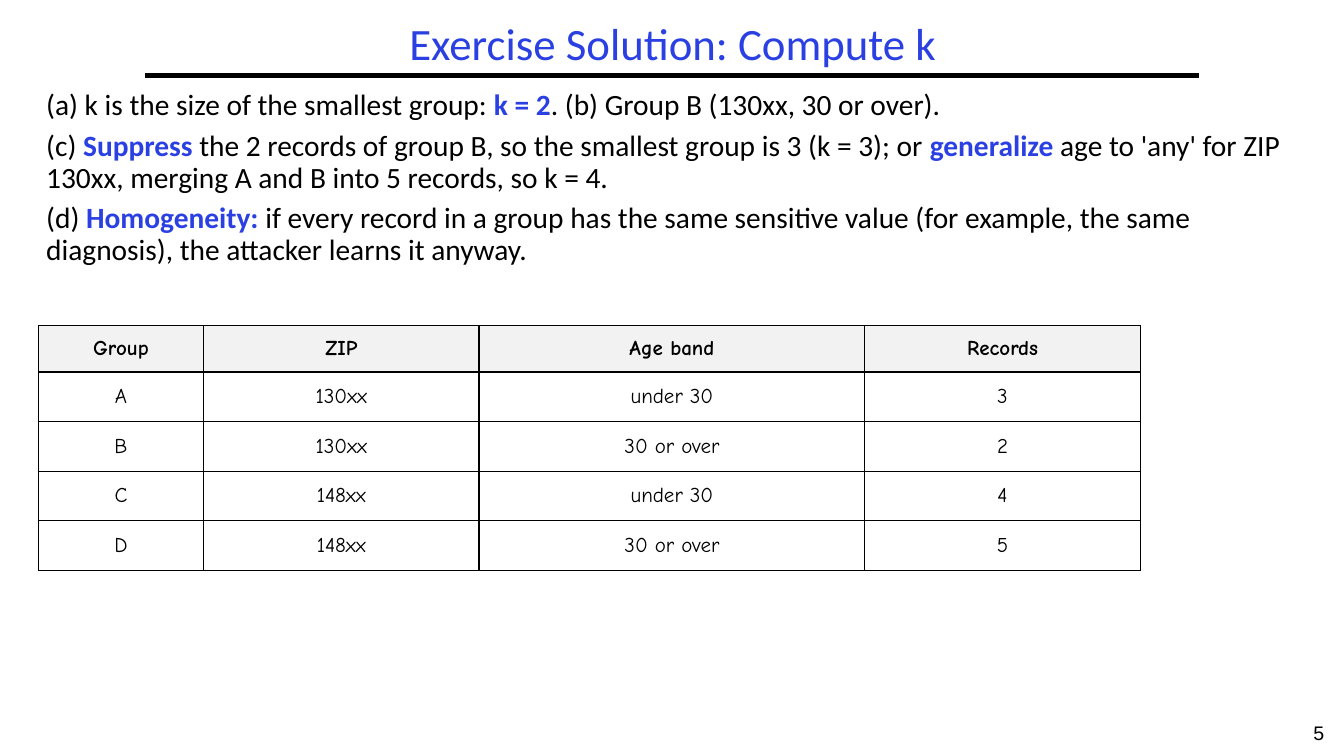
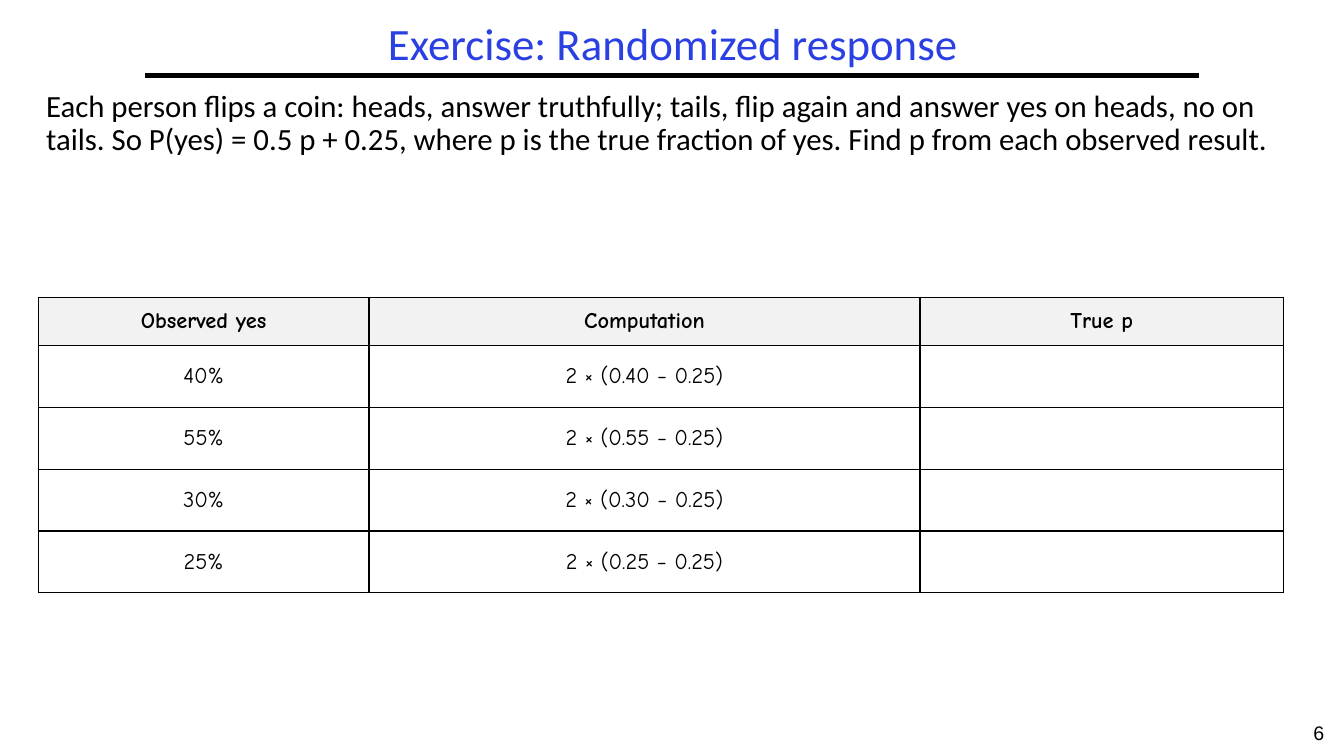
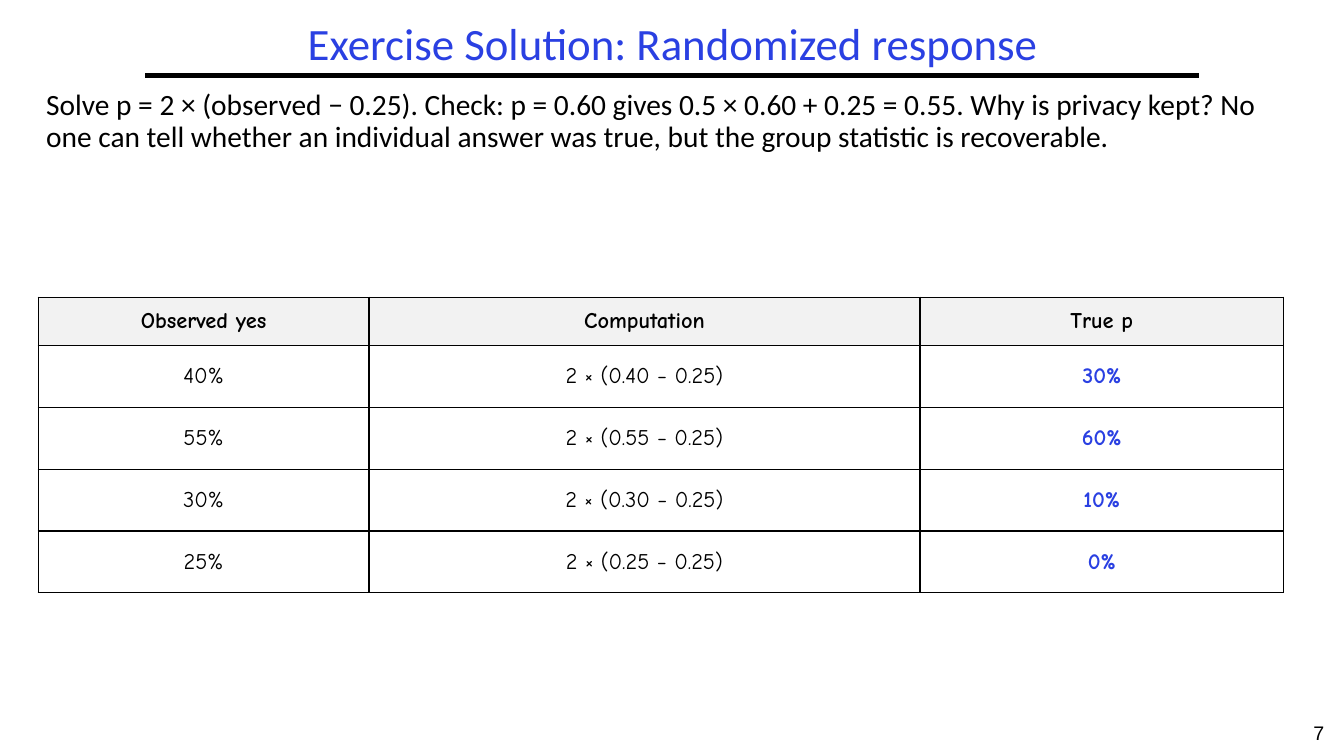
from dataclasses import dataclass

from lxml.etree import SubElement
from pptx import Presentation
from pptx.dml.color import RGBColor as Rgb
from pptx.enum.shapes import MSO_CONNECTOR as Connector
from pptx.enum.text import MSO_ANCHOR as Anchor, MSO_AUTO_SIZE as AutoSize, PP_ALIGN as Align
from pptx.oxml.ns import qn
from pptx.util import Emu, Inches, Pt


@dataclass(frozen=True)
class Theme:
    """Colours, fonts and type sizes of the deck."""
    ink: str = "000000"
    accent: str = "2A40E2"
    header: str = "F2F2F2"
    text_font: str = "Calibri"
    table_font: str = "Comic Neue"
    number_font: str = "Arial"
    title_size: int = 32
    number_size: int = 14
    rule_width: int = 3
    border_width: int = 1


def assign(target, values):
    """Set each named attribute on the target."""
    for key, value in values.items():
        setattr(target, key, value)


class Deck:
    """Holds the style and current slide; places are percent of the slide."""
    LEFT, TITLE_WIDTH = 10.8, 78.54
    TABLE_LEFT, TABLE_COLUMN = 2.85, 8.2

    def __init__(self, first_number):
        """Start a wide presentation with its first page number."""
        self.theme = Theme()
        self.deck = Presentation()
        assign(self.deck, {"slide_width": Inches(13.33), "slide_height": Inches(7.5)})
        self.number = first_number
        self.slide = None

    def x(self, percent):
        """Turn a share of the width into a length."""
        return Emu(round(self.deck.slide_width * percent / 100))

    def y(self, percent):
        """Turn a share of the height into a length."""
        return Emu(round(self.deck.slide_height * percent / 100))

    def box(self, left, top, width, height):
        """Turn percentages into a rectangle."""
        return self.x(left), self.y(top), self.x(width), self.y(height)

    def add_text(self, paragraph, text, size, font, bold=False):
        """Add text in which *starred* parts are bold and accented."""
        for index, part in enumerate(text.split("*")):
            if part:
                run = paragraph.add_run()
                run.text = part
                marked = index % 2 == 1
                assign(run.font, {"size": Pt(size), "name": font, "bold": bold or marked})
                run.font.color.rgb = Rgb.from_string(self.theme.accent if marked else self.theme.ink)

    def add_slide(self, heading):
        """Begin a slide with its rule, page number and title."""
        self.slide = self.deck.slides.add_slide(self.deck.slide_layouts[5])
        self.rule()
        self.page_number()
        self.title(heading)

    def rule(self):
        """Draw the rule under the title."""
        rule = self.slide.shapes.add_connector(
            Connector.STRAIGHT, self.x(self.LEFT), self.y(10), self.x(89.18), self.y(10))
        rule.line.color.rgb = Rgb.from_string(self.theme.ink)
        rule.line.width = Pt(self.theme.rule_width)
        SubElement(rule._element.spPr, qn("a:effectLst"))

    def page_number(self):
        """Put the page number in the lower right corner."""
        frame = self.slide.shapes.add_textbox(*self.box(96.25, 94.67, 3.75, 5.33)).text_frame
        frame.word_wrap = True
        paragraph = frame.paragraphs[0]
        paragraph.alignment = Align.CENTER
        self.add_text(paragraph, str(self.number), self.theme.number_size, self.theme.number_font)
        self.number += 1

    def title(self, heading):
        """Place and format the title placeholder."""
        title = self.slide.shapes.title
        places = self.box(self.LEFT, 2.27, self.TITLE_WIDTH, 7.73)
        assign(title, dict(zip(("left", "top", "width", "height"), places)))
        assign(title.text_frame, {"auto_size": AutoSize.NONE, "vertical_anchor": Anchor.MIDDLE})
        paragraph = title.text_frame.paragraphs[0]
        assign(paragraph, {"alignment": Align.CENTER, "line_spacing": 0.9})
        self.add_text(paragraph, f"*{heading}*", self.theme.title_size, self.theme.text_font)
        paragraph.runs[0].font.bold = False

    def body(self, texts, size, height=28):
        """Add the paragraphs below the title."""
        frame = self.slide.shapes.add_textbox(*self.box(2.7, 11.33, 94.35, height)).text_frame
        frame.word_wrap = True
        for index, text in enumerate(texts):
            paragraph = frame.add_paragraph() if index else frame.paragraphs[0]
            paragraph.line_spacing = 0.9
            paragraph.space_before = Pt(size * 0.3 if index else 0)
            self.add_text(paragraph, text, size, self.theme.text_font)

    def table(self, rows, columns, top, heights, size):
        """Add a bordered table; heights are those of header and body rows."""
        header_height, row_height = heights
        height = header_height + row_height * (len(rows) - 1)
        table = self.slide.shapes.add_table(
            len(rows), len(columns),
            *self.box(self.TABLE_LEFT, top, self.TABLE_COLUMN * sum(columns), height)).table
        assign(table, {"first_row": False, "horz_banding": False})
        for column, share in zip(table.columns, columns):
            column.width = self.x(self.TABLE_COLUMN * share)
        for index, texts in enumerate(rows):
            table.rows[index].height = self.y(row_height if index else header_height)
            for cell, text in zip(table.rows[index].cells, texts):
                self.cell(cell, text, size, index == 0)

    def cell(self, cell, text, size, is_header):
        """Format and fill one table cell."""
        assign(cell, {
            "vertical_anchor": Anchor.MIDDLE,
            "margin_left": Inches(0.07), "margin_right": Inches(0.07),
            "margin_top": Inches(0.03), "margin_bottom": Inches(0.03)})
        self.borders(cell)
        if is_header:
            cell.fill.solid()
            cell.fill.fore_color.rgb = Rgb.from_string(self.theme.header)
        else:
            cell.fill.background()
        paragraph = cell.text_frame.paragraphs[0]
        paragraph.alignment = Align.CENTER
        self.add_text(paragraph, text, size, self.theme.table_font, is_header)

    def borders(self, cell):
        """Draw the four borders of a cell."""
        properties = cell._tc.get_or_add_tcPr()
        for side in "LRTB":
            line = SubElement(properties, qn(f"a:ln{side}"), w=str(Pt(self.theme.border_width)))
            SubElement(SubElement(line, qn("a:solidFill")), qn("a:srgbClr"), val=self.theme.ink)


def response_table(deck, solved):
    """Add the randomized response table, with or without its answers."""
    rows = [("Observed yes", "Computation", "True p")]
    for observed in (40, 55, 30, 25):
        answer = f"*{2 * (observed - 25)}%*" if solved else ""
        rows.append((f"{observed}%", f"2 × ({observed / 100:.2f} − 0.25)", answer))
    deck.table(rows, (3, 5, 3.3), 39.33, (6.4, 8.17), 16)


def main():
    """Build and save the three slides."""
    deck = Deck(first_number=5)

    deck.add_slide("Exercise Solution: Compute k")
    deck.body([
        "(a) k is the size of the smallest group: *k = 2*. (b) Group B (130xx, 30 or over).",
        "(c) *Suppress* the 2 records of group B, so the smallest group is 3 (k = 3); or "
        "*generalize* age to 'any' for ZIP 130xx, merging A and B into 5 records, so k = 4.",
        "(d) *Homogeneity:* if every record in a group has the same sensitive value "
        "(for example, the same diagnosis), the attacker learns it anyway.",
    ], 21, 31.6)
    deck.table([
        ("Group", "ZIP", "Age band", "Records"),
        ("A", "130xx", "under 30", "3"),
        ("B", "130xx", "30 or over", "2"),
        ("C", "148xx", "under 30", "4"),
        ("D", "148xx", "30 or over", "5"),
    ], (1.5, 2.5, 3.5, 2.5), 43.07, (6.13, 6.57), 15)

    deck.add_slide("Exercise: Randomized response")
    deck.body([
        "Each person flips a coin: heads, answer truthfully; tails, flip again and answer yes "
        "on heads, no on tails. So P(yes) = 0.5 p + 0.25, where p is the true fraction of yes. "
        "Find p from each observed result."], 22)
    response_table(deck, solved=False)

    deck.add_slide("Exercise Solution: Randomized response")
    deck.body([
        "Solve p = 2 × (observed − 0.25). Check: p = 0.60 gives 0.5 × 0.60 + 0.25 = 0.55. "
        "Why is privacy kept? No one can tell whether an individual answer was true, "
        "but the group statistic is recoverable."], 21)
    response_table(deck, solved=True)

    deck.deck.save("out.pptx")


if __name__ == "__main__":
    main()
